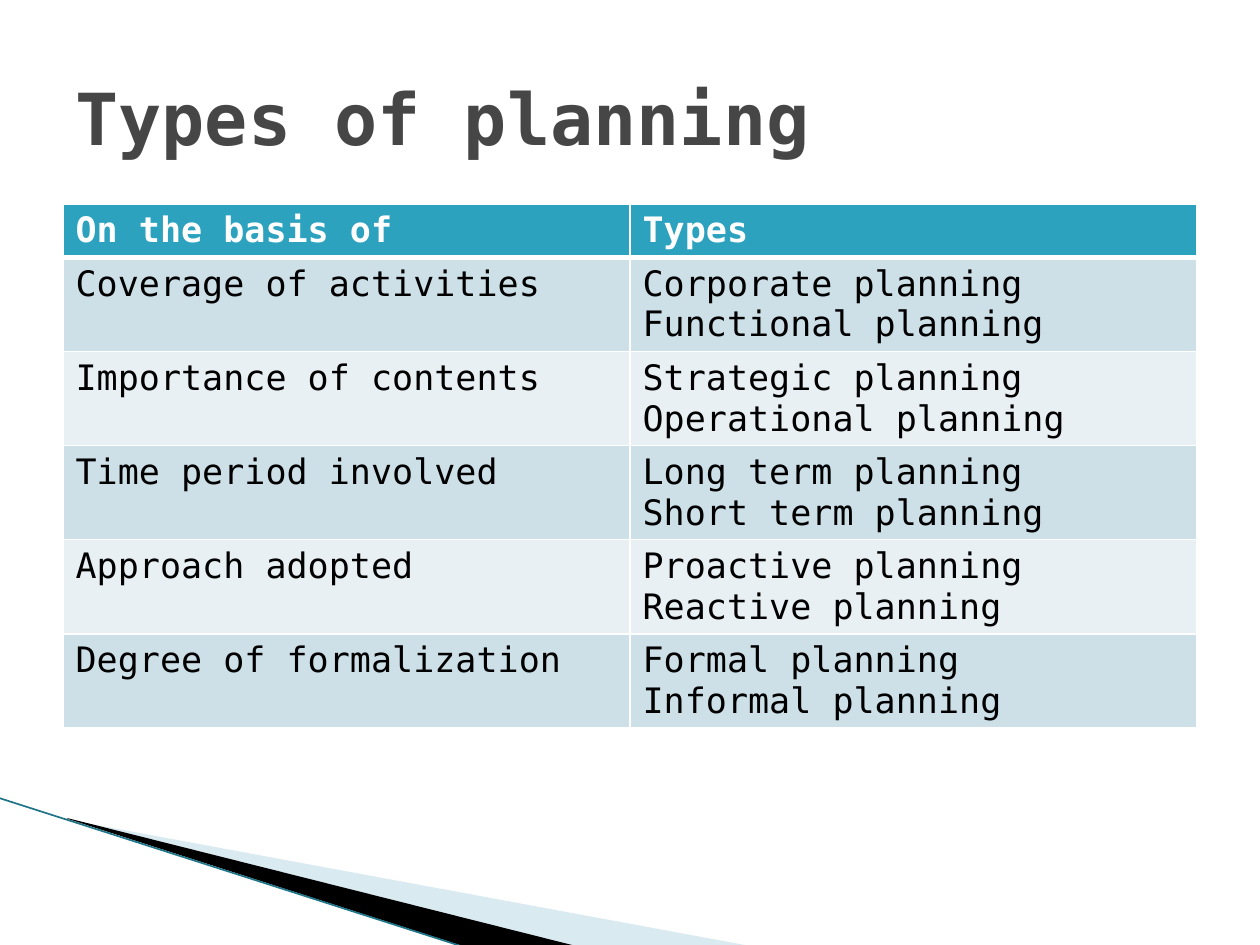
from dataclasses import dataclass

from lxml.etree import SubElement
from pptx import Presentation
from pptx.dml.color import RGBColor
from pptx.enum.shapes import MSO_CONNECTOR
from pptx.enum.text import MSO_ANCHOR
from pptx.oxml.ns import qn
from pptx.util import Emu, Pt

SCALE = 914400 / 126
FONT = "DejaVu Sans Mono"
WHITE = RGBColor(0xFF, 0xFF, 0xFF)
BLACK = RGBColor(0x00, 0x00, 0x00)
TITLE_GRAY = RGBColor(0x46, 0x46, 0x46)
HEADER_BLUE = RGBColor(0x2D, 0xA2, 0xBF)
BAND_DARK = RGBColor(0xCD, 0xE0, 0xE8)
BAND_LIGHT = RGBColor(0xE8, 0xF0, 0xF4)
WEDGE_BLUE = RGBColor(0xA0, 0xCB, 0xDC)
LINE_TEAL = RGBColor(0x1F, 0x74, 0x88)

TITLE_FORMAT = {"name": FONT, "size": Pt(41), "bold": True}
HEADER_FORMAT = {"name": FONT, "size": Pt(20), "bold": True}
BODY_FORMAT = {"name": FONT, "size": Pt(20), "bold": False}


@dataclass(frozen=True)
class Wedge:
    """A filled corner decoration."""
    points: tuple[tuple[int, int], ...]
    color: RGBColor
    opacity: int


@dataclass(frozen=True)
class PlanningRow:
    """One basis of classification and its planning types."""
    basis: str
    types: tuple[str, ...]


WEDGES = (
    Wedge(((69, 820), (750, 946), (575, 946), (69, 819)), WEDGE_BLUE, 40),
    Wedge(((67, 818), (576, 946), (469, 948), (68, 819)), BLACK, 100),
)
ROWS = (
    PlanningRow("On the basis of", ("Types",)),
    PlanningRow("Coverage of activities", ("Corporate planning", "Functional planning")),
    PlanningRow("Importance of contents", ("Strategic planning", "Operational planning")),
    PlanningRow("Time period involved", ("Long term planning", "Short term planning")),
    PlanningRow("Approach adopted", ("Proactive planning", "Reactive planning")),
    PlanningRow("Degree of formalization", ("Formal planning", "Informal planning")),
)


def px(length: int) -> Emu:
    """Turn pixels into EMU."""
    return Emu(round(length * SCALE))


def write(frame, lines: tuple[str, ...], color: RGBColor, formats: dict) -> None:
    """Write one formatted paragraph per line."""
    for index, line in enumerate(lines):
        para = frame.add_paragraph() if index else frame.paragraphs[0]
        span = para.add_run()
        span.text = line
        span.font.color.rgb = color
        for name, value in formats.items():
            setattr(span.font, name, value)


def draw_wedge(page, wedge: Wedge) -> None:
    """Draw a borderless polygon with its opacity."""
    builder = page.shapes.build_freeform(*wedge.points[0], scale=SCALE)
    builder.add_line_segments(wedge.points[1:], close=True)
    shape = builder.convert_to_shape()
    shape.shadow.inherit = False
    shape.line.fill.background()
    shape.fill.solid()
    shape.fill.fore_color.rgb = wedge.color
    if wedge.opacity < 100:
        color = shape.fill._xPr.find(".//" + qn("a:srgbClr"))
        SubElement(color, qn("a:alpha"), val=str(wedge.opacity * 1000))


def draw_edge(page) -> None:
    """Draw the thin line along the wedges."""
    edge = page.shapes.add_connector(
        MSO_CONNECTOR.STRAIGHT, px(-1), px(798), px(467), px(948))
    edge.line.color.rgb = LINE_TEAL
    edge.line.width = Pt(0.95)
    SubElement(edge._element.spPr, qn("a:effectLst"))


def style_cell(cell, color: RGBColor, bottom_width: int) -> None:
    """Give a cell white borders and a solid fill."""
    properties = cell._tc.get_or_add_tcPr()
    for side, width in (("L", 1), ("R", 1), ("T", 1), ("B", bottom_width)):
        border = SubElement(properties, qn(f"a:ln{side}"), w=str(Pt(width)))
        fill = SubElement(border, qn("a:solidFill"))
        SubElement(fill, qn("a:srgbClr"), val=str(WHITE))
    cell.fill.solid()
    cell.fill.fore_color.rgb = color


def draw_table(page) -> None:
    """Draw the banded table of planning types."""
    frame = page.shapes.add_table(len(ROWS), 2, px(63), px(204), px(1134), px(522))
    table = frame.table
    for index, row in enumerate(ROWS):
        header = index == 0
        table.rows[index].height = px(52 if header else 94)
        band = HEADER_BLUE if header else (BAND_LIGHT, BAND_DARK)[index % 2]
        for column, lines in enumerate(((row.basis,), row.types)):
            cell = table.cell(index, column)
            style_cell(cell, band, 3 if header else 1)
            write(cell.text_frame, lines, WHITE if header else BLACK,
                  HEADER_FORMAT if header else BODY_FORMAT)


def draw_title(page) -> None:
    """Draw the slide title."""
    box = page.shapes.add_textbox(px(63), px(38), px(1134), px(158))
    box.text_frame.word_wrap = True
    box.text_frame.vertical_anchor = MSO_ANCHOR.MIDDLE
    write(box.text_frame, ("Types of planning",), TITLE_GRAY, TITLE_FORMAT)


def main() -> None:
    """Build and save the deck."""
    deck = Presentation()
    deck.slide_width, deck.slide_height = px(1260), px(945)
    page = deck.slides.add_slide(deck.slide_layouts[6])
    for wedge in WEDGES:
        draw_wedge(page, wedge)
    draw_edge(page)
    draw_table(page)
    draw_title(page)
    deck.save("out.pptx")


main()
